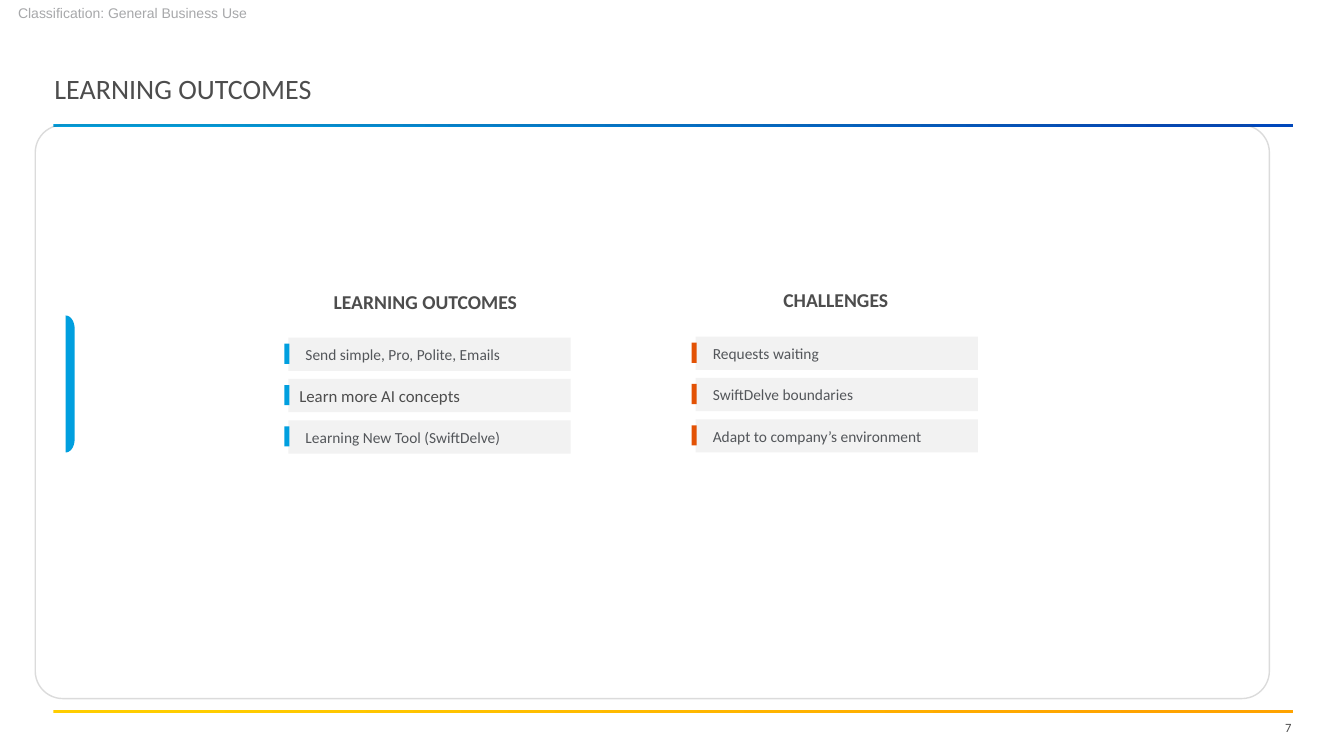
import math
from lxml import etree
from pptx import Presentation
from pptx.dml.color import RGBColor
from pptx.enum.shapes import MSO_SHAPE
from pptx.enum.text import MSO_ANCHOR, PP_ALIGN
from pptx.oxml.ns import qn
from pptx.util import Inches, Pt

RECTANGLE = MSO_SHAPE.RECTANGLE
ROUNDED = MSO_SHAPE.ROUNDED_RECTANGLE
MIDDLE, BOTTOM = MSO_ANCHOR.MIDDLE, MSO_ANCHOR.BOTTOM
LEFT, CENTER, RIGHT = PP_ALIGN.LEFT, PP_ALIGN.CENTER, PP_ALIGN.RIGHT
INK, GREY, PALE = "4D4D4D", "53565A", "F2F2F2"
BLUE, ORANGE = "009FDF", "E35205"


def paint(shape, color):
    shape.shadow.inherit = False
    shape.fill.solid()
    shape.fill.fore_color.rgb = RGBColor.from_string(color)
    shape.line.fill.background()


def write(shape, text, size, color=INK, font="Calibri", align=LEFT,
          anchor=MIDDLE, inset=0, bold=False):
    frame = shape.text_frame
    frame.word_wrap = True
    frame.vertical_anchor = anchor
    frame.margin_left = frame.margin_right = Inches(inset)
    frame.margin_top = frame.margin_bottom = Inches(min(inset, 0.05))
    frame.text = text
    paragraph = frame.paragraphs[0]
    paragraph.alignment = align
    paragraph.font.name = font
    paragraph.font.size = Pt(size)
    paragraph.font.bold = bold
    paragraph.font.color.rgb = RGBColor.from_string(color)


prs = Presentation()
prs.slide_width, prs.slide_height = Inches(13.33), Inches(7.5)
slide = prs.slides.add_slide(prs.slide_layouts[5])
shapes = slide.shapes

title = shapes.title
title.left, title.top = Inches(0.54), Inches(0.41)
title.width, title.height = Inches(10.87), Inches(0.63)
write(title, "LEARNING OUTCOMES", 20, anchor=BOTTOM)

for top, start, end in [(7.04, "FFCD00", "FFA300"), (1.23, BLUE, "0047BB")]:
    rule = shapes.add_shape(RECTANGLE, Inches(0.53), Inches(top), Inches(12.29), Inches(0.03))
    paint(rule, start)
    rule.fill.gradient()
    rule.fill.gradient_angle = 0
    for stop, position, color in zip(rule.fill.gradient_stops, (0.1, 0.9), (start, end)):
        stop.position = position
        stop.color.rgb = RGBColor.from_string(color)

page_number = shapes.add_textbox(Inches(11.95), Inches(7.12), Inches(0.86), Inches(0.19))
write(page_number, "7", 9, align=RIGHT)
classification = shapes.add_textbox(Inches(0.18), Inches(0), Inches(2.67), Inches(0.26))
write(classification, "Classification: General Business Use", 10, "A7A8AA", "Arial")

panel = shapes.add_shape(ROUNDED, Inches(0.35), Inches(1.24), Inches(12.24), Inches(5.69))
panel.adjustments[0] = 0.048
panel.shadow.inherit = False
panel.fill.background()
panel.line.width = Pt(1)
panel.line.color.rgb = RGBColor.from_string(INK)
ink_color = panel.line._ln.find(".//" + qn("a:srgbClr"))
etree.SubElement(ink_color, qn("a:alpha"), val="20000")

tab_left, tab_top, tab_bottom = 0.65, 3.13, 4.49
curve_width, curve_height = 0.09, 0.13
angles = [math.radians(degrees) for degrees in range(0, 91, 10)]
upper = [(tab_left + curve_width * math.sin(a),
          tab_top + curve_height * (1 - math.cos(a))) for a in angles]
lower = [(x, tab_top + tab_bottom - y) for x, y in reversed(upper)]
outline = [(Inches(x), Inches(y)) for x, y in upper + lower]
builder = shapes.build_freeform(*outline[0])
builder.add_line_segments(outline[1:], close=True)
paint(builder.convert_to_shape(), BLUE)

columns = [
    ("LEARNING OUTCOMES", 2.94, 2.82, 2.56, 2.86, 3.35, BLUE,
     ["Send simple, Pro, Polite, Emails", "Learn more AI concepts",
      "Learning New Tool (SwiftDelve)"]),
    ("CHALLENGES", 7.19, 2.8, 2.2, 6.9, 3.34, ORANGE,
     ["Requests waiting", "SwiftDelve boundaries", "Adapt to company’s environment"]),
]
for heading, head_left, head_top, head_width, left, first_top, accent, items in columns:
    header = shapes.add_textbox(Inches(head_left), Inches(head_top),
                                Inches(head_width), Inches(0.34))
    write(header, heading, 14, align=CENTER, anchor=BOTTOM, inset=0.1, bold=True)
    for row, item in enumerate(items):
        top = first_top + 0.41 * row
        group = shapes.add_group_shape().shapes
        bar = group.add_shape(RECTANGLE, Inches(left), Inches(top), Inches(2.8), Inches(0.33))
        paint(bar, PALE)
        if item == "Learn more AI concepts":
            write(bar, item, 12, inset=0.11)
        else:
            write(bar, item, 11, GREY, inset=0.17)
        marker = group.add_shape(RECTANGLE, Inches(left - 0.04), Inches(top + 0.06),
                                 Inches(0.05), Inches(0.2))
        paint(marker, accent)

prs.save("out.pptx")
